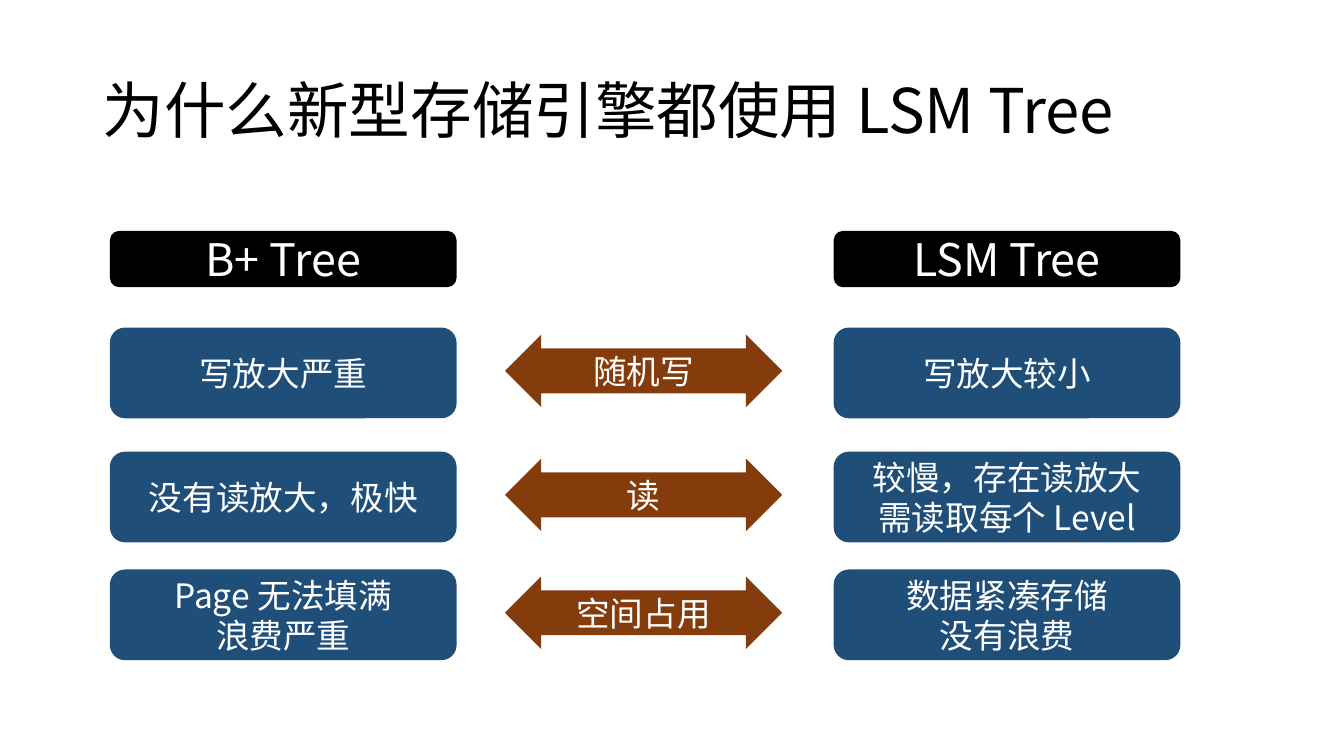
from dataclasses import dataclass

from lxml.etree import SubElement
from pptx import Presentation
from pptx.dml.color import RGBColor as RGB
from pptx.enum.shapes import MSO_SHAPE as Shape
from pptx.enum.text import MSO_ANCHOR as Anchor, MSO_AUTO_SIZE as AutoSize, PP_ALIGN as Align
from pptx.oxml.ns import qn
from pptx.slide import Slide
from pptx.text.text import TextFrame
from pptx.util import Pt


@dataclass(frozen=True)
class Theme:
    font: str = "Noto Sans CJK SC"
    ink: RGB = RGB(0, 0, 0)
    paper: RGB = RGB(255, 255, 255)
    card: RGB = RGB(0x1F, 0x4E, 0x79)
    arrow: RGB = RGB(0x84, 0x3C, 0x0C)
    title_size: int = 44
    head_size: int = 32
    body_size: int = 24


@dataclass(frozen=True)
class Comparison:
    top: float
    aspect: str
    b_tree: str
    lsm_tree: str


@dataclass(frozen=True)
class Block:
    text: str
    left: float
    top: float
    width: float
    height: float
    fill: RGB
    size: int
    kind: Shape = Shape.ROUNDED_RECTANGLE


THEME = Theme()
B_TREE_X, LSM_TREE_X, ARROW_X = 78.5, 595.5, 360.7
COLUMN_W, ARROW_W = 247.7, 198
HEAD_Y, HEAD_H, CARD_H, ARROW_H = 164.9, 40.3, 64.8, 51.8
ARROW_DROP = 5

COMPARISONS = [
    Comparison(234, "随机写", "写放大严重", "写放大较小"),
    Comparison(322.6, "读", "没有读放大，极快", "较慢，存在读放大\n需读取每个 Level"),
    Comparison(406.8, "空间占用", "Page 无法填满\n浪费严重", "数据紧凑存储\n没有浪费"),
]


def write(tf: TextFrame, text: str, size: int, color: RGB, align: Align) -> None:
    tf.text = text
    tf.word_wrap = True
    tf.auto_size = AutoSize.NONE
    tf.vertical_anchor = Anchor.MIDDLE
    for p in tf.paragraphs:
        p.alignment = align
        for r in p.runs:
            r.font.size = Pt(size)
            r.font.color.rgb = color
            r.font.name = THEME.font
            SubElement(r.font._element, qn("a:ea"), typeface=THEME.font)


def add_title(s: Slide, text: str) -> None:
    sp = s.shapes.title
    sp.left, sp.top, sp.width, sp.height = Pt(66), Pt(28.8), Pt(828), Pt(104.4)
    write(sp.text_frame, text, THEME.title_size, THEME.ink, Align.LEFT)
    sp.text_frame.paragraphs[0].line_spacing = 0.9


def add_block(s: Slide, block: Block) -> None:
    sp = s.shapes.add_shape(block.kind, Pt(block.left), Pt(block.top), Pt(block.width), Pt(block.height))
    sp.shadow.inherit = False
    sp.fill.solid()
    sp.fill.fore_color.rgb = block.fill
    sp.line.fill.background()
    if block.kind == Shape.LEFT_RIGHT_ARROW:
        sp.adjustments[0] = 0.62
        sp.adjustments[1] = 0.5
    write(sp.text_frame, block.text, block.size, THEME.paper, Align.CENTER)


def add_heading(s: Slide, text: str, left: float) -> None:
    add_block(s, Block(text, left, HEAD_Y, COLUMN_W, HEAD_H, THEME.ink, THEME.head_size))


def add_comparison(s: Slide, row: Comparison) -> None:
    for text, left in ((row.b_tree, B_TREE_X), (row.lsm_tree, LSM_TREE_X)):
        add_block(s, Block(text, left, row.top, COLUMN_W, CARD_H, THEME.card, THEME.body_size))
    add_block(s, Block(row.aspect, ARROW_X, row.top + ARROW_DROP, ARROW_W, ARROW_H,
                       THEME.arrow, THEME.body_size, Shape.LEFT_RIGHT_ARROW))


def main() -> None:
    prs = Presentation()
    prs.slide_width, prs.slide_height = Pt(960), Pt(540)
    s = prs.slides.add_slide(prs.slide_layouts[5])
    add_title(s, "为什么新型存储引擎都使用 LSM Tree")
    add_heading(s, "B+ Tree", B_TREE_X)
    add_heading(s, "LSM Tree", LSM_TREE_X)
    for row in COMPARISONS:
        add_comparison(s, row)
    prs.save("out.pptx")


if __name__ == "__main__":
    main()
